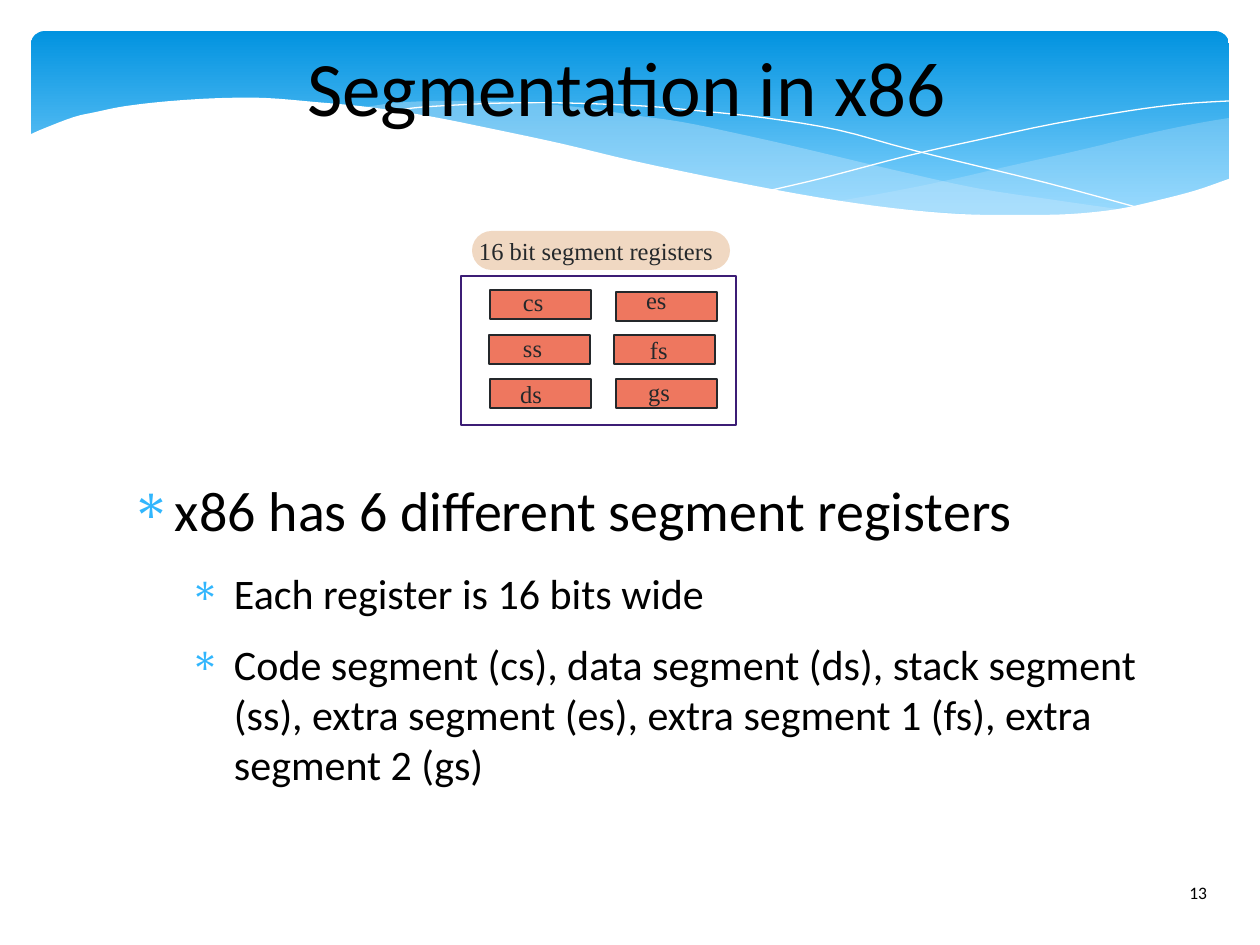
from lxml.etree import SubElement
from pptx import Presentation
from pptx.dml.color import RGBColor
from pptx.enum.shapes import MSO_SHAPE
from pptx.enum.text import MSO_ANCHOR, PP_ALIGN
from pptx.oxml.ns import qn
from pptx.util import Emu, Pt

EMU_PER_PX = 914400 / 126
BLACK = RGBColor(0x00, 0x00, 0x00)
WHITE = RGBColor(0xFF, 0xFF, 0xFF)
INK = RGBColor(0x24, 0x28, 0x2B)
CORAL = RGBColor(0xEE, 0x77, 0x5F)
SAND = RGBColor(0xF0, 0xD8, 0xC2)
PURPLE = RGBColor(0x3C, 0x1D, 0x75)
ICE = RGBColor(0xC6, 0xE7, 0xFC)
SKY = RGBColor(0x31, 0xB6, 0xFD)
BANNER_STOPS = [(0, RGBColor(0x02, 0x93, 0xE0)), (0.9, RGBColor(0x83, 0xD3, 0xFE))]

# Content
TITLE = "Segmentation in x86"
PAGE = "13"
CAPTION = "16 bit segment registers"
BULLETS = [
    (0, "x86 has 6 different segment registers"),
    (1, "Each register is 16 bits wide"),
    (1, "Code segment (cs), data segment (ds), stack segment (ss), "
        "extra segment (es), extra segment 1 (fs), extra segment 2 (gs)"),
]
# Register name, corner of its box, corner of its label
REGISTERS = [
    ("cs", (490, 290), (523, 287)), ("ss", (489, 335), (523, 333)),
    ("ds", (490, 379), (520, 379)), ("es", (616, 292), (646, 285)),
    ("fs", (614, 335), (650, 335)), ("gs", (616, 379), (648, 377)),
]

# Text formats
TITLE_FONT = {"name": "Calibri", "size": Pt(44)}
PAGE_FONT = {"name": "Calibri", "size": Pt(10)}
LABEL_FONT = {"name": "Times New Roman", "size": Pt(14)}
LEVEL_FONTS = [{"name": "Calibri", "size": Pt(32)}, {"name": "Calibri", "size": Pt(24)}]
LEVEL_GAPS = [Pt(14.1), Pt(11.3)]
LEVEL_INDENT, HANGING = 59, 44
NO_INSETS = dict.fromkeys(("margin_left", "margin_top", "margin_right", "margin_bottom"), 0)

# Banner curves, each as the points it passes through
RIGHT_CREST = [
    [(1229, 118), (1194, 124), (1142, 135), (1085, 149), (1014, 165), (949, 180),
     (890, 192), (833, 202)],
    [(833, 202), (888, 208), (954, 213), (1012, 217), (1064, 217), (1110, 213),
     (1150, 207), (1187, 197), (1229, 178)],
]
MIDDLE_CREST = [
    [(1125, 210), (1055, 200), (976, 188), (890, 169), (793, 146), (735, 133),
     (682, 122), (632, 115), (586, 108), (529, 103), (479, 101), (433, 101),
     (394, 103), (360, 108)],
    [(360, 108), (407, 113), (456, 122), (509, 134), (566, 146), (668, 170),
     (757, 189), (819, 199), (876, 208), (943, 214), (1003, 218), (1056, 217),
     (1092, 214), (1125, 210)],
]
FALLING_LINE = [(389, 113), (413, 108), (457, 105), (505, 103), (567, 103), (643, 106),
                (701, 111), (766, 118), (838, 130), (916, 151), (1047, 183), (1143, 209)]
RISING_LINE = [(772, 190), (823, 178), (907, 156), (978, 140), (1053, 124), (1128, 111),
               (1182, 104), (1229, 101)]
WHITE_WAVE = [
    [(1231, 178), (1197, 190), (1159, 200), (1118, 209), (1071, 214), (1019, 215),
     (959, 214), (892, 208), (816, 197), (730, 181), (634, 161), (563, 144),
     (493, 129), (428, 116), (368, 107), (315, 102), (266, 98), (223, 98),
     (184, 100), (150, 103), (120, 107), (96, 112), (74, 117), (45, 128), (29, 135)],
    [(29, 282), (1231, 282)],
]


def px(value):
    return Emu(round(value * EMU_PER_PX))


def apply(target, values):
    for key, value in values.items():
        setattr(target, key, value)


def smooth(points, steps=4):
    """Catmull-Rom curve through the points."""
    padded = [points[0], *points, points[-1]]
    curve = [points[0]]
    for a, b, c, d in zip(padded, padded[1:], padded[2:], padded[3:]):
        for t in (step / steps for step in range(1, steps + 1)):
            curve.append(tuple(
                (2 * q + (r - p) * t + (2 * p - 5 * q + 4 * r - s) * t ** 2
                 + (3 * q - p - 3 * r + s) * t ** 3) / 2
                for p, q, r, s in zip(a, b, c, d)))
    return curve


def paint(shape, fill=None, line=None, width=0, alpha=None):
    shape.shadow.inherit = False
    if fill is None:
        shape.fill.background()
    else:
        shape.fill.solid()
        shape.fill.fore_color.rgb = fill
    if alpha is not None:
        color = shape.fill._xPr.find(qn("a:solidFill"))[0]
        SubElement(color, qn("a:alpha"), val=str(alpha * 1000))
    if line is None:
        shape.line.fill.background()
    else:
        shape.line.color.rgb = line
        shape.line.width = width


def add_curves(curves, closed=True, **look):
    points = [(px(x), px(y)) for curve in curves for x, y in smooth(curve)]
    builder = slide.shapes.build_freeform(*points[0], scale=1.0)
    builder.add_line_segments(points[1:], close=closed)
    paint(builder.convert_to_shape(), **look)


def add_block(kind, box, **look):
    shape = slide.shapes.add_shape(kind, *map(px, box))
    paint(shape, **look)
    return shape


def write(paragraph, text, font, color=BLACK):
    run = paragraph.add_run()
    run.text = text
    apply(run.font, font)
    run.font.color.rgb = color


def add_text_frame(box, wrap=True, **margins):
    frame = slide.shapes.add_textbox(*map(px, box)).text_frame
    apply(frame, {"word_wrap": wrap, **margins})
    return frame


def add_label(text, box):
    write(add_text_frame(box, wrap=False, **NO_INSETS).paragraphs[0], text, LABEL_FONT, INK)


def add_bullet(paragraph, level):
    paragraph.level = level
    properties = paragraph._p.get_or_add_pPr()
    properties.set("marL", str(px(LEVEL_INDENT * (level + 1))))
    properties.set("indent", str(-px(HANGING)))
    color = SubElement(properties, qn("a:buClr"))
    SubElement(color, qn("a:srgbClr"), val=str(SKY))
    SubElement(properties, qn("a:buChar"), char="∗")
    paragraph.space_after = LEVEL_GAPS[level]


deck = Presentation()
deck.slide_width, deck.slide_height = px(1260), px(945)
slide = deck.slides.add_slide(deck.slide_layouts[5])

# Banner
banner = add_block(MSO_SHAPE.ROUNDED_RECTANGLE, (31, 31, 1198, 197))
banner.adjustments[0] = 0.07
banner.fill.gradient()
banner.fill.gradient_angle = 270
for stop, (position, color) in zip(banner.fill.gradient_stops, BANNER_STOPS):
    stop.position = position
    stop.color.rgb = color
add_curves(RIGHT_CREST, fill=ICE, alpha=29)
add_curves(MIDDLE_CREST, fill=ICE, alpha=40)
for stroke in (FALLING_LINE, RISING_LINE):
    add_curves([stroke], closed=False, line=WHITE)
add_curves(WHITE_WAVE, fill=WHITE)

# Title, brought in front of the banner
title = slide.shapes.title
slide.shapes._spTree.append(title._element)
apply(title, dict(zip(("left", "top", "width", "height"), map(px, (116, 21, 1022, 129)))))
apply(title.text_frame, {**NO_INSETS, "vertical_anchor": MSO_ANCHOR.MIDDLE})
heading = title.text_frame.paragraphs[0]
heading.alignment = PP_ALIGN.CENTER
write(heading, TITLE, TITLE_FONT)

# Register diagram
add_block(MSO_SHAPE.RECTANGLE, (461, 276, 275, 149), line=PURPLE, width=Pt(1))
for name, box_corner, label_corner in REGISTERS:
    add_block(MSO_SHAPE.RECTANGLE, (*box_corner, 101, 29), fill=CORAL, line=INK)
    add_label(name, (*label_corner, 34, 39))
pill = add_block(MSO_SHAPE.ROUNDED_RECTANGLE, (472, 231, 258, 39), fill=SAND)
pill.adjustments[0] = 0.5
add_label(CAPTION, (479, 236, 236, 30))

# Bullets
body = add_text_frame((116, 476, 1053, 343), **NO_INSETS)
for index, (level, text) in enumerate(BULLETS):
    item = body.add_paragraph() if index else body.paragraphs[0]
    add_bullet(item, level)
    write(item, text, LEVEL_FONTS[level])

# Page number
write(add_text_frame((1177, 876, 77, 50)).paragraphs[0], PAGE, PAGE_FONT)

deck.save("out.pptx")
